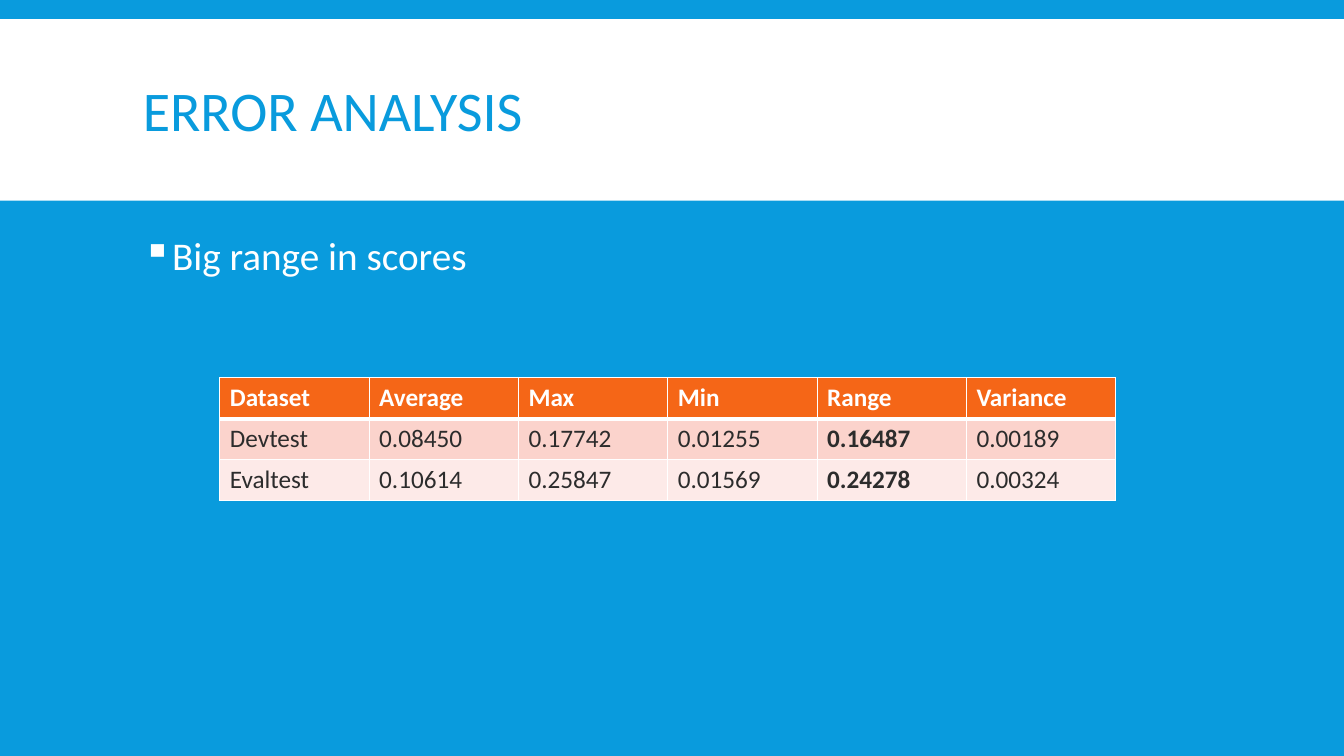
from dataclasses import dataclass
from lxml.etree import SubElement
from pptx import Presentation
from pptx.dml.color import RGBColor as RGB
from pptx.enum.shapes import MSO_SHAPE as Shape
from pptx.enum.text import MSO_ANCHOR as Anchor
from pptx.oxml import parse_xml
from pptx.oxml.ns import nsdecls, qn
from pptx.util import Cm, Pt


@dataclass(frozen=True)
class Theme:
    font: str = "Calibri"
    blue: str = "099BDD"
    white: str = "FFFFFF"
    dark: str = "2C2C2C"
    header: str = "F56617"
    bands: tuple = ("FBD3CC", "FDEAE8")
    title_size: int = 40
    body_size: int = 28
    table_size: int = 18


theme = Theme()


def style(paragraph, size, color, bold=False):
    for run in paragraph.runs:
        run.font.name = theme.font
        run.font.size = Pt(size)
        run.font.bold = bold
        run.font.color.rgb = RGB.from_string(color)


def add_border(cell, position, side, width):
    line = parse_xml(
        f'<a:{side} {nsdecls("a")} w="{Pt(width)}"><a:solidFill>'
        f'<a:srgbClr val="{theme.white}"/></a:solidFill></a:{side}>')
    cell._tc.get_or_add_tcPr().insert(position, line)


deck = Presentation()
deck.slide_width, deck.slide_height = Cm(33.87), Cm(19.05)
slide = deck.slides.add_slide(deck.slide_layouts[6])
slide.background.fill.solid()
slide.background.fill.fore_color.rgb = RGB.from_string(theme.blue)

# Title band
band = slide.shapes.add_shape(Shape.RECTANGLE, 0, Cm(0.48), deck.slide_width, Cm(4.58))
band.shadow.inherit = False
band.fill.solid()
band.fill.fore_color.rgb = RGB.from_string(theme.white)
band.line.fill.background()

# Title
title = slide.shapes.add_textbox(Cm(3.35), Cm(0.79), Cm(27.18), Cm(4.19)).text_frame
title.word_wrap = True
title.vertical_anchor = Anchor.MIDDLE
title.text = "ERROR ANALYSIS"
heading = title.paragraphs[0]
heading.line_spacing = 0.85
style(heading, theme.title_size, theme.blue)

# Bullet point
body = slide.shapes.add_textbox(Cm(3.35), Cm(5.84), Cm(24.77), Cm(6.07)).text_frame
body.word_wrap = True
body.text = "Big range in scores"
point = body.paragraphs[0]
point.line_spacing = 0.9
point.space_before, point.space_after = Pt(12), Pt(2)
style(point, theme.body_size, theme.white)
bullet = point._p.get_or_add_pPr()
bullet.set("marL", str(Cm(0.51)))
bullet.set("indent", str(-Cm(0.51)))
SubElement(SubElement(bullet, qn("a:buClr")), qn("a:srgbClr")).set("val", theme.white)
SubElement(bullet, qn("a:buChar")).set("char", "▪")

# Score table
scores = [
    ("Dataset", "Average", "Max", "Min", "Range", "Variance"),
    ("Devtest", "0.08450", "0.17742", "0.01255", "0.16487", "0.00189"),
    ("Evaltest", "0.10614", "0.25847", "0.01569", "0.24278", "0.00324"),
]
range_column = scores[0].index("Range")
table = slide.shapes.add_table(len(scores), len(scores[0]), Cm(5.54), Cm(9.52),
                               Cm(22.58), Cm(3.09)).table
for r, (values, fill) in enumerate(zip(scores, (theme.header, *theme.bands))):
    is_header = r == 0
    for c, value in enumerate(values):
        cell = table.cell(r, c)
        cell.text = value
        style(cell.text_frame.paragraphs[0], theme.table_size,
              theme.white if is_header else theme.dark,
              is_header or c == range_column)
        cell.fill.solid()
        cell.fill.fore_color.rgb = RGB.from_string(fill)
        widths = {"lnL": 1, "lnR": 1, "lnT": 3 if r == 1 else 1, "lnB": 3 if is_header else 1}
        for position, (side, width) in enumerate(widths.items()):
            add_border(cell, position, side, width)

deck.save("out.pptx")
